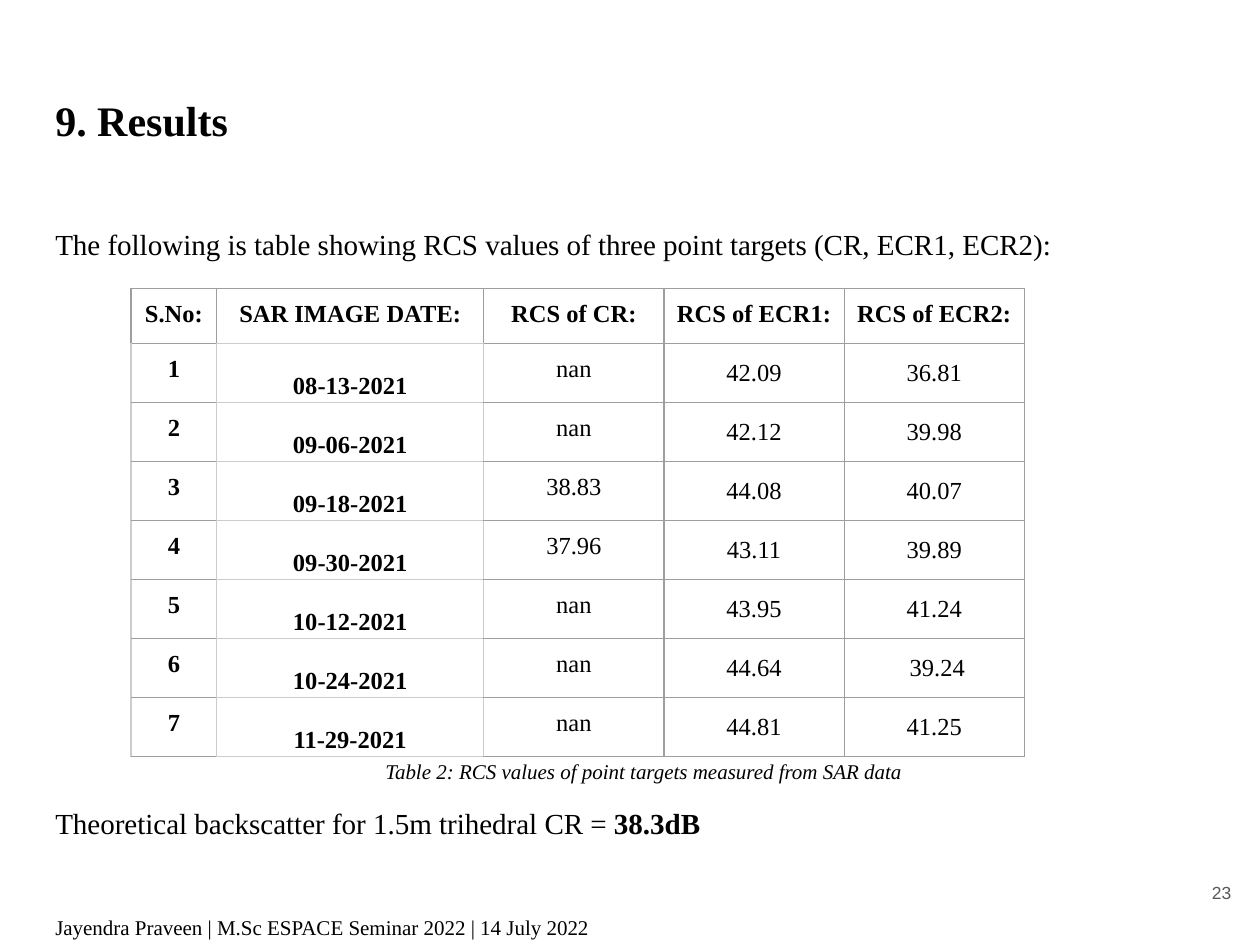
from lxml import etree
from pptx import Presentation
from pptx.dml.color import RGBColor
from pptx.enum.text import MSO_ANCHOR, PP_ALIGN
from pptx.oxml.ns import qn
from pptx.util import Inches, Pt

LEFT, CENTER, RIGHT = PP_ALIGN.LEFT, PP_ALIGN.CENTER, PP_ALIGN.RIGHT
TOP, MIDDLE, BOTTOM = MSO_ANCHOR.TOP, MSO_ANCHOR.MIDDLE, MSO_ANCHOR.BOTTOM
SERIF = "Times New Roman"
BLACK, GREY = "000000", "595959"
DARK_LINE, LIGHT_LINE = "9E9E9E", "CCCCCC"

HEADERS = ["S.No:", "SAR IMAGE DATE:", "RCS of CR:", "RCS of ECR1:", "RCS of ECR2:"]
MEASUREMENTS = [
    ["1", "08-13-2021", "nan", "42.09", "36.81"],
    ["2", "09-06-2021", "nan", "42.12", "39.98"],
    ["3", "09-18-2021", "38.83", "44.08", "40.07"],
    ["4", "09-30-2021", "37.96", "43.11", "39.89"],
    ["5", "10-12-2021", "nan", "43.95", "41.24"],
    ["6", "10-24-2021", "nan", "44.64", " 39.24"],
    ["7", "11-29-2021", "nan", "44.81", "41.25"],
]
COL_WIDTHS = [0.68, 2.12, 1.43, 1.43, 1.43]
HEADER_HEIGHT = 0.43
DATE_COL = 1
SPACED_COLS = {1, 3, 4}
# Light sides of the body cells, by column
LIGHT_SIDES = {0: "LR", 1: "LRTB", 2: "L"}


def rgb(value):
    return RGBColor.from_string(value)


def add_run(p, text, size, font=SERIF, color=BLACK, bold=False, italic=False):
    r = p.add_run()
    r.text = text
    r.font.name, r.font.size = font, Pt(size)
    r.font.bold, r.font.italic = bold, italic
    r.font.color.rgb = rgb(color)


def add_box(s, box, anchor=TOP, inset=0.1, wrap=True):
    sp = s.shapes.add_textbox(*(Inches(v) for v in box))
    tf = sp.text_frame
    tf.word_wrap, tf.vertical_anchor = wrap, anchor
    tf.margin_left = tf.margin_right = Inches(0.1)
    tf.margin_top = tf.margin_bottom = Inches(inset)
    return tf


def add_line(s, box, text, size, align=LEFT, anchor=TOP, inset=0.1, wrap=True, **style):
    """Place a text box that holds a single run."""
    p = add_box(s, box, anchor, inset, wrap).paragraphs[0]
    p.alignment = align
    add_run(p, text, size, **style)


def add_body(s, box):
    """Place the lead-in and the closing line, leaving room for the table between."""
    tf = add_box(s, box)
    intro, result = tf.paragraphs[0], tf.add_paragraph()
    intro.line_spacing = result.line_spacing = 1.05
    result.space_before = Pt(310)
    add_run(intro, "The following is table showing RCS values of three point "
                   "targets (CR, ECR1, ECR2):", 16.6)
    add_run(result, "Theoretical backscatter for 1.5m trihedral CR = ", 16.6)
    add_run(result, "38.3dB", 16.6, bold=True)


def set_borders(cell, light_sides):
    tc_pr = cell._tc.get_or_add_tcPr()
    for i, side in enumerate("LRTB"):
        ln = etree.Element(qn(f"a:ln{side}"), w=str(Pt(0.75)))
        fill = etree.SubElement(ln, qn("a:solidFill"))
        color = LIGHT_LINE if side in light_sides else DARK_LINE
        etree.SubElement(fill, qn("a:srgbClr"), val=color)
        tc_pr.insert(i, ln)


def fill_cell(cell, text, row, col):
    is_header = row == 0
    is_date = col == DATE_COL and not is_header
    cell.fill.background()
    cell.vertical_anchor = BOTTOM if is_date else TOP
    cell.margin_left = cell.margin_right = Inches(0.03 if is_date else 0.1)
    cell.margin_top = cell.margin_bottom = Inches(0.02 if is_date else 0.1)
    p = cell.text_frame.paragraphs[0]
    p.alignment = CENTER
    if not is_header and col in SPACED_COLS:
        p.line_spacing = 1.15
    add_run(p, text, 14, bold=is_header or col <= DATE_COL)
    if is_header:
        set_borders(cell, "B" if col == DATE_COL else "")
    else:
        set_borders(cell, LIGHT_SIDES.get(col, ""))


def add_rcs_table(s, box):
    rows = [HEADERS] + MEASUREMENTS
    table = s.shapes.add_table(len(rows), len(HEADERS), *(Inches(v) for v in box)).table
    table.first_row = table.horz_banding = False
    for column, width in zip(table.columns, COL_WIDTHS):
        column.width = Inches(width)
    body_height = (box[3] - HEADER_HEIGHT) / len(MEASUREMENTS)
    for i, values in enumerate(rows):
        table.rows[i].height = Inches(body_height if i else HEADER_HEIGHT)
        for j, text in enumerate(values):
            fill_cell(table.cell(i, j), text, i, j)


def main():
    prs = Presentation()
    prs.slide_width, prs.slide_height = Inches(10), Inches(7.5)
    s = prs.slides.add_slide(prs.slide_layouts[6])
    add_line(s, (0.34, 7.16, 9.05, 0.4),
             "Jayendra Praveen | M.Sc ESPACE Seminar 2022 | 14 July 2022", 12)
    add_line(s, (0.34, 0.65, 9.32, 0.83), "9. Results", 24, bold=True)
    add_body(s, (0.34, 1.68, 9.32, 5.32))
    add_rcs_table(s, (1.04, 2.29, 7.09, 3.56))
    add_line(s, (9.27, 6.8, 0.6, 0.57), "23", 10, RIGHT, MIDDLE, font="Arial", color=GREY)
    add_line(s, (2.96, 5.97, 4.39, 0.3),
             "Table 2: RCS values of point targets measured from SAR data", 12,
             inset=0.05, wrap=False, italic=True)
    prs.save("out.pptx")


if __name__ == "__main__":
    main()
